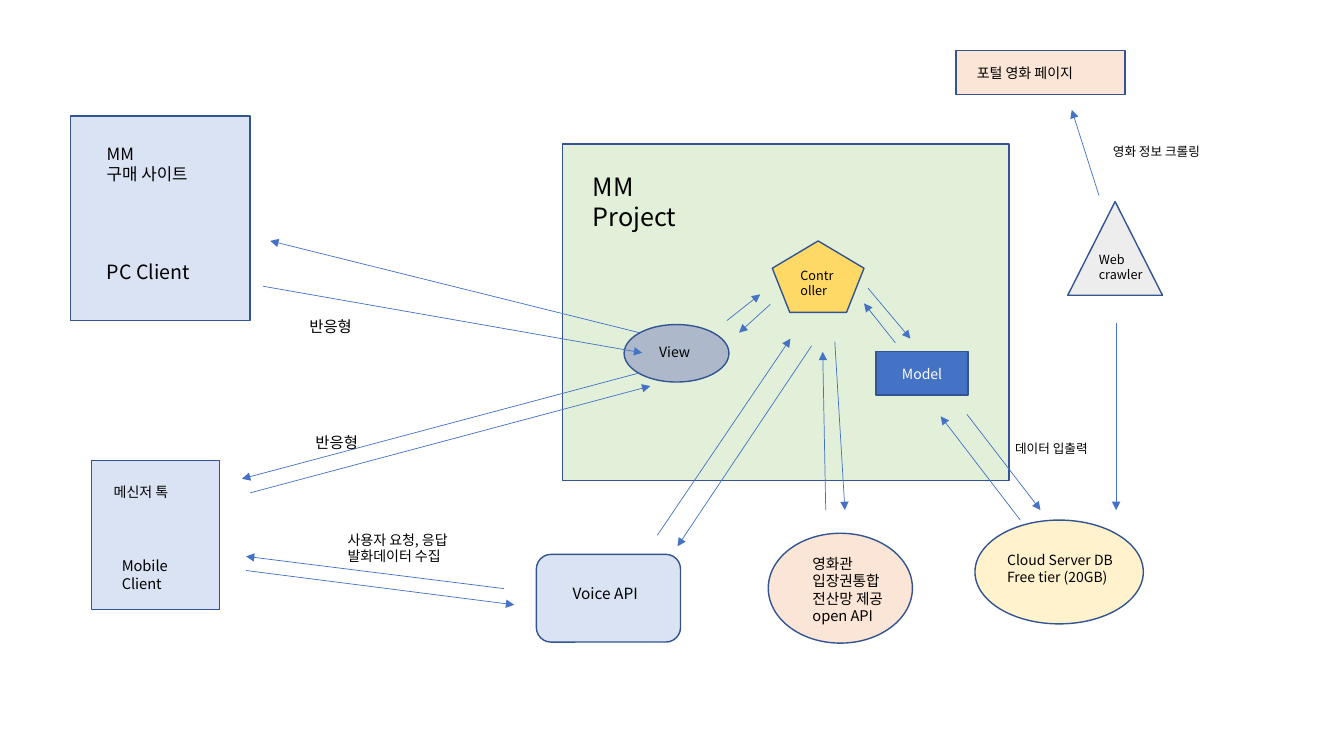
from lxml import etree
from pptx import Presentation
from pptx.dml.color import RGBColor
from pptx.enum import shapes, text
from pptx.oxml import ns
from pptx.util import Inches, Pt

FONT = "Noto Sans CJK KR"
BLACK, WHITE = "000000", "FFFFFF"
BLUE, OUTLINE = "4472C4", "325491"
PALE_BLUE, PEACH = "DAE3F3", "FBE5D6"
KIND = shapes.MSO_SHAPE

# kind, left, top, width, height, fill
NODES = [
    (KIND.RECTANGLE, 0.91, 4.57, 1.27, 1.48, PALE_BLUE),
    (KIND.RECTANGLE, 0.7, 1.15, 1.78, 2.03, PALE_BLUE),
    (KIND.OVAL, 9.67, 5.16, 1.67, 1.03, "FFF2CC"),
    (KIND.RECTANGLE, 9.48, 0.5, 1.68, 0.44, PEACH),
    (KIND.RECTANGLE, 5.58, 1.43, 4.43, 3.34, "E2F0D9"),
    (KIND.REGULAR_PENTAGON, 7.66, 2.39, 0.91, 0.71, "FFD966"),
    (KIND.OVAL, 6.19, 3.22, 1.04, 0.57, "ADB9CA"),
    (KIND.ISOSCELES_TRIANGLE, 10.59, 2, 0.94, 0.93, "EDEDED"),
    (KIND.ROUNDED_RECTANGLE, 5.32, 5.5, 1.43, 0.87, PALE_BLUE),
    (KIND.OVAL, 7.62, 5.29, 1.43, 1.09, PEACH),
]

# start x, start y, end x, end y
ARROWS = [
    # Model and database
    (9.59, 4.11, 10.32, 5.06),
    (10.12, 5.16, 9.33, 4.13),
    # Web crawler to movie page and database
    (10.9, 1.94, 10.63, 1.09),
    (11.07, 3.2, 11.07, 5.06),
    # View and Controller
    (7.21, 3.18, 7.54, 2.92),
    (7.64, 3.02, 7.33, 3.3),
    # Controller and Model
    (8.61, 2.86, 9.03, 3.36),
    (8.88, 3.4, 8.57, 3.01),
    # Voice API and mobile client
    (5, 5.84, 2.44, 5.52),
    (2.44, 5.66, 5.1, 6),
    # Voice API and Controller
    (6.52, 5.31, 7.84, 3.36),
    (8.05, 3.43, 6.72, 5.42),
    # View and PC client
    (6.34, 3.3, 2.68, 2.39),
    (2.61, 2.84, 6.37, 3.5),
    # View and mobile client
    (6.34, 3.7, 2.4, 4.75),
    (2.48, 4.89, 6.45, 3.83),
    # Controller and open API
    (8.28, 3.39, 8.38, 5.06),
    (8.19, 5.06, 8.16, 3.49),
]

# left, top, width, height, size, wording
LABELS = [
    (1.11, 5.48, 0.86, 0.47, 10.5, "Mobile Client"),
    (1.03, 4.75, 1.14, 0.27, 10, "메신저 톡"),
    (0.96, 2.53, 1.21, 0.34, 14, "PC Client"),
    (0.96, 1.38, 1.21, 0.5, 12, "MM\n구매 사이트"),
    (9.89, 5.42, 2.01, 0.44, 10, "Cloud Server DB\nFree tier (20GB)"),
    (9.59, 0.59, 2.7, 0.27, 10, "포털 영화 페이지"),
    (5.78, 1.65, 2.9, 0.71, 18, "MM\nProject"),
    (10.94, 1.38, 1.56, 0.25, 9, "영화 정보 크롤링"),
    (7.84, 2.61, 0.59, 0.4, 9, "Controller"),
    (6.44, 3.36, 0.67, 0.27, 10, "View"),
    (10.8, 2.45, 0.73, 0.4, 9, "Web crawler"),
    (9.97, 4.32, 1, 0.25, 9, "데이터 입출력"),
    (5.58, 5.75, 1.88, 0.29, 11, "Voice API"),
    (2.97, 3.1, 1.37, 0.29, 11, "반응형"),
    (3.03, 4.25, 1.37, 0.29, 11, "반응형"),
    (3.35, 5.22, 1.43, 0.44, 10, "사용자 요청, 응답 발화데이터 수집"),
    (7.96, 5.45, 0.94, 0.81, 10.5, "영화관 입장권통합전산망 제공 open API"),
]


def color(value):
    return RGBColor.from_string(value)


def write(frame, wording, size, ink):
    """Set the wording and format its runs for Latin and Korean script."""
    frame.text = wording
    for para in frame.paragraphs:
        for span in para.runs:
            span.font.size = Pt(size)
            span.font.name = FONT
            span.font.color.rgb = color(ink)
            east_asian = etree.SubElement(span.font._element, ns.qn("a:ea"))
            east_asian.set("typeface", FONT)


def add_node(page, kind, left, top, width, height, fill):
    node = page.shapes.add_shape(
        kind, Inches(left), Inches(top), Inches(width), Inches(height))
    node.shadow.inherit = False
    node.fill.solid()
    node.fill.fore_color.rgb = color(fill)
    node.line.color.rgb = color(OUTLINE)
    node.line.width = Pt(1)
    return node


def add_arrow(page, start_x, start_y, end_x, end_y):
    arrow = page.shapes.add_connector(
        shapes.MSO_CONNECTOR.STRAIGHT,
        Inches(start_x), Inches(start_y), Inches(end_x), Inches(end_y))
    arrow.line.color.rgb = color(BLUE)
    arrow.line.width = Pt(0.5)
    outline = arrow.line._get_or_add_ln()
    etree.SubElement(outline, ns.qn("a:tailEnd")).set("type", "triangle")
    etree.SubElement(arrow._element.spPr, ns.qn("a:effectLst"))


def add_label(page, left, top, width, height, size, wording):
    box = page.shapes.add_textbox(
        Inches(left), Inches(top), Inches(width), Inches(height))
    frame = box.text_frame
    frame.word_wrap = True
    frame.auto_size = text.MSO_AUTO_SIZE.SHAPE_TO_FIT_TEXT
    write(frame, wording, size, BLACK)


def add_model(page):
    model = add_node(page, KIND.RECTANGLE, 8.69, 3.49, 0.91, 0.43, BLUE)
    frame = model.text_frame
    frame.vertical_anchor = text.MSO_ANCHOR.MIDDLE
    write(frame, "Model", 10, WHITE)
    frame.paragraphs[0].alignment = text.PP_ALIGN.CENTER


def main():
    deck = Presentation()
    deck.slide_width, deck.slide_height = Inches(13.33), Inches(7.5)
    page = deck.slides.add_slide(deck.slide_layouts[6])
    for node in NODES:
        add_node(page, *node)
    add_model(page)
    for arrow in ARROWS:
        add_arrow(page, *arrow)
    for label in LABELS:
        add_label(page, *label)
    deck.save("out.pptx")


if __name__ == "__main__":
    main()
